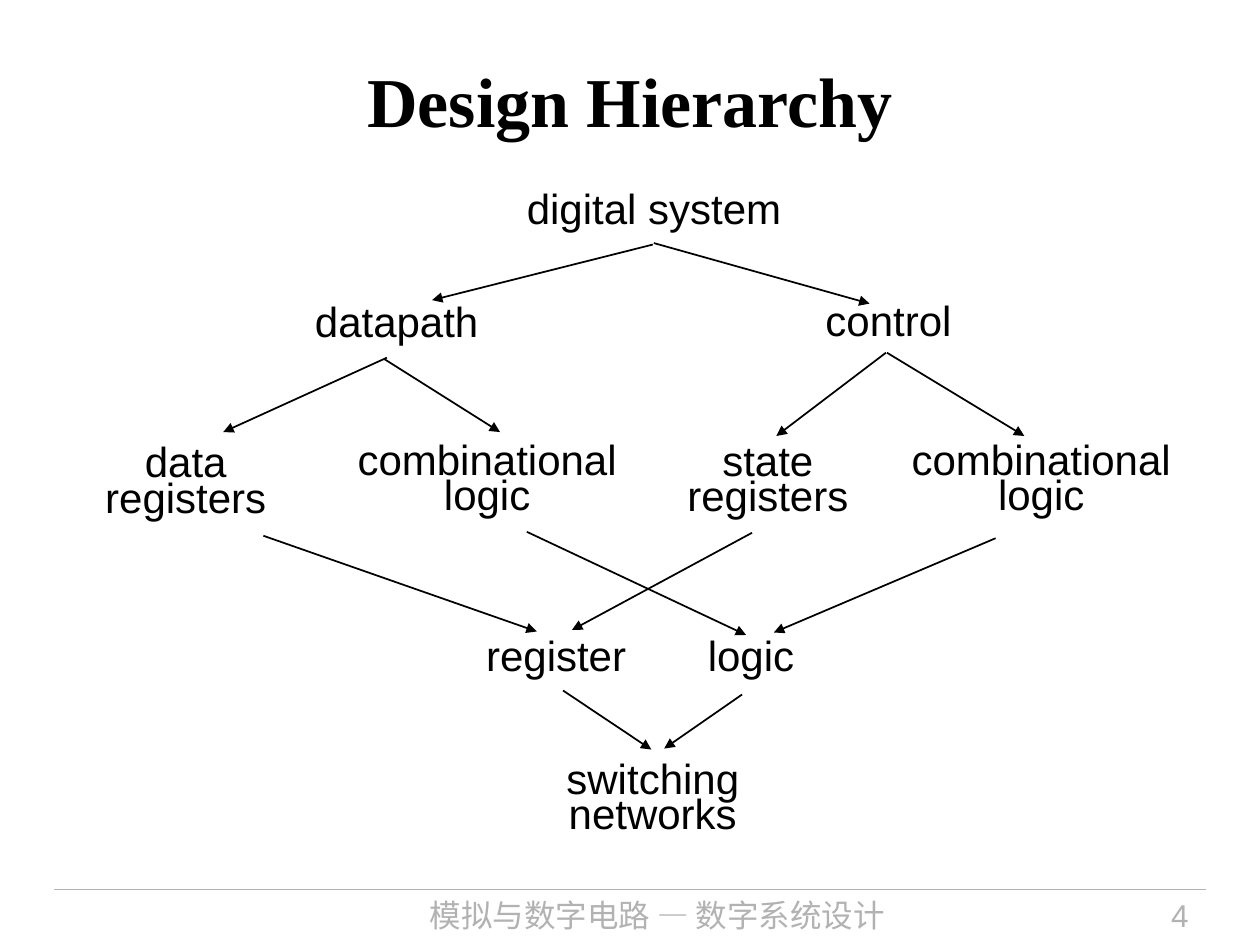
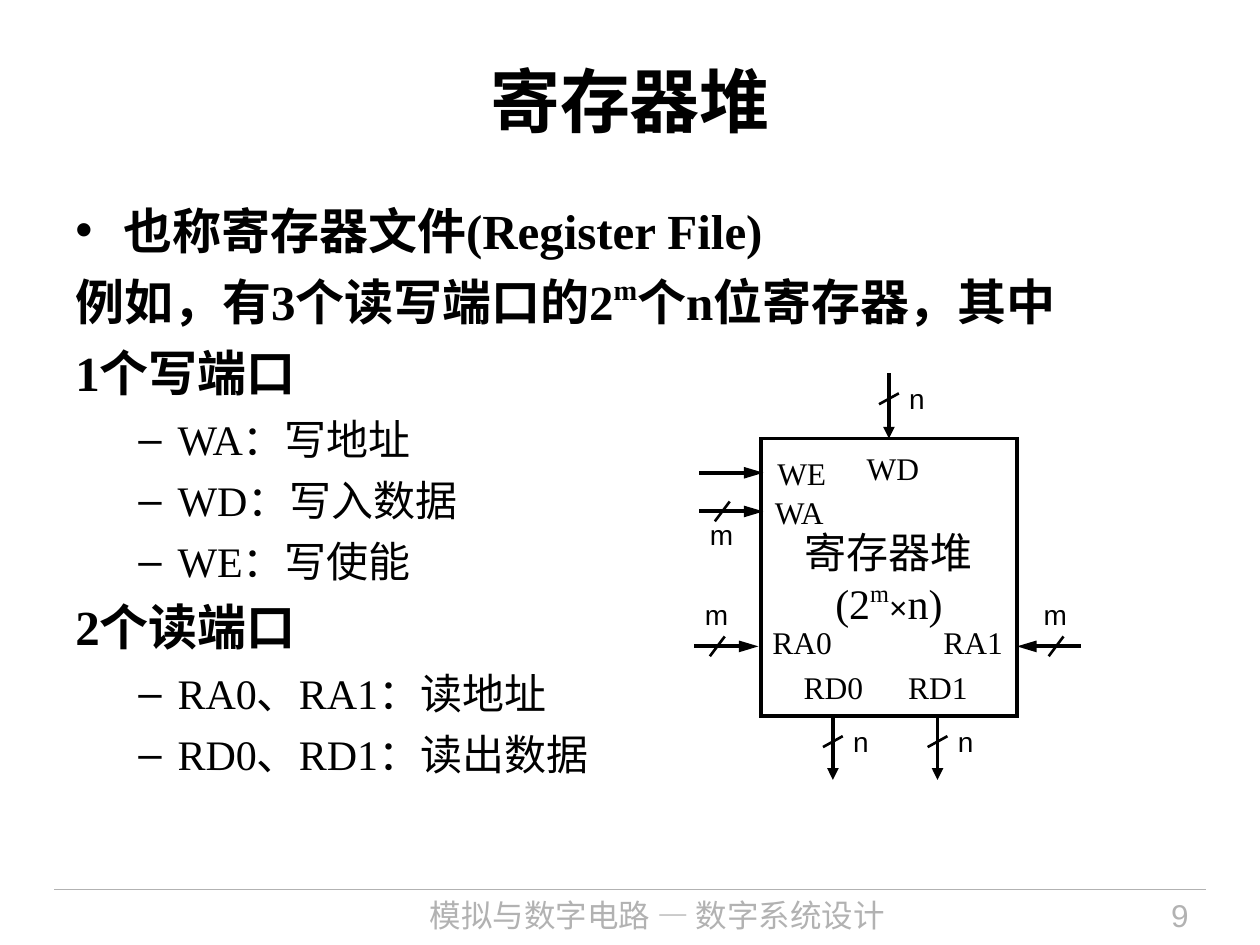
from typing import NamedTuple

from lxml import etree
from pptx import Presentation
from pptx import util as u
from pptx.dml import color
from pptx.enum import shapes, text
from pptx.oxml import ns

COLORS = {"ink": "000000", "muted": "B2B2B2", "paper": "FFFFFF"}
SANS, SERIF, CJK = "Arial", "Times New Roman", "Noto Sans CJK SC"
LEFT, CENTER, RIGHT = text.PP_ALIGN.LEFT, text.PP_ALIGN.CENTER, text.PP_ALIGN.RIGHT
TOP, MIDDLE = text.MSO_ANCHOR.TOP, text.MSO_ANCHOR.MIDDLE
FOOTER = "模拟与数字电路 — 数字系统设计"
TEXT_INSET = (0.25, 0.13)


class Area(NamedTuple):
    left: float
    top: float
    width: float
    height: float


class Arrow(NamedTuple):
    x1: float
    y1: float
    x2: float
    y2: float


class Span(NamedTuple):
    words: str
    raised: bool = False
    size: float | None = None
    font: str | None = None


class Node(NamedTuple):
    words: str
    area: Area
    wrap: bool = False


class Pin(NamedTuple):
    words: str
    area: Area
    align: text.PP_ALIGN = LEFT


class Bus(NamedTuple):
    arrow: Arrow
    bits: str
    label_rise: float = -0.27


class Bullet(NamedTuple):
    spans: tuple[Span, ...]
    level: int = 0
    mark: str = ""


def rgb(name: str) -> color.RGBColor:
    return color.RGBColor.from_string(COLORS[name])


def add_span(para, span: Span, *, size, font, ink="ink", bold=False):
    for index, line in enumerate(span.words.split("\n")):
        if index:
            para.add_line_break()
        run = para.add_run()
        run.text = line
        run.font.size = u.Pt(span.size or size)
        run.font.name = span.font or font
        run.font.bold = bold
        run.font.color.rgb = rgb(ink)
        props = run._r.get_or_add_rPr()
        if span.raised:
            props.set("baseline", "40000")
        east = etree.Element(ns.qn("a:ea"), typeface=CJK)
        props.find(ns.qn("a:latin")).addnext(east)


def set_frame(box, *, inset=TEXT_INSET, anchor=TOP, wrap=True):
    frame = box.text_frame
    frame.word_wrap = wrap
    frame.vertical_anchor = anchor
    frame.margin_left = frame.margin_right = u.Cm(inset[0])
    frame.margin_top = frame.margin_bottom = u.Cm(inset[1])
    return frame


def add_text(page, words: str, area: Area, *, size=18, font=SANS, ink="ink", bold=False,
             align=LEFT, spacing=None, **layout):
    box = page.shapes.add_textbox(*map(u.Cm, area))
    para = set_frame(box, **layout).paragraphs[0]
    para.alignment = align
    para.line_spacing = spacing
    add_span(para, Span(words), size=size, font=font, ink=ink, bold=bold)
    return box


def add_line(page, ends: Arrow, *, width, ink="ink", head="", length="med"):
    line = page.shapes.add_connector(shapes.MSO_CONNECTOR.STRAIGHT, *map(u.Cm, ends))
    line.line.color.rgb = rgb(ink)
    line.line.width = u.Pt(width)
    if head:
        etree.SubElement(line.line._get_or_add_ln(), ns.qn("a:tailEnd"), type=head, w="med", len=length)
    etree.SubElement(line._element.spPr, ns.qn("a:effectLst"))
    return line


def add_page(deck, title: str, number: int):
    page = deck.slides.add_slide(deck.slide_layouts[6])
    page.background.fill.solid()
    page.background.fill.fore_color.rgb = rgb("paper")
    add_line(page, Arrow(1.09, 17.93, 24.31, 17.93), width=0.75, ink="muted")
    add_text(page, title, Area(1.27, 0.58, 22.86, 2.84), size=40, font=SERIF, bold=True,
             align=CENTER, anchor=MIDDLE)
    add_text(page, FOOTER, Area(6.1, 17.93, 14.3, 1.12), font=CJK, ink="muted", align=CENTER)
    add_text(page, str(number), Area(20.83, 17.93, 3.38, 1.12), ink="muted", align=RIGHT)
    return page


ONE_LINE_NODES = [
    Node("digital system", Area(10.57, 4.01, 6.1, 0.76), True),
    Node("datapath", Area(6.3, 6.3, 3.7, 0.86)),
    Node("control", Area(16.59, 6.27, 3.1, 0.86)),
    Node("register", Area(9.75, 13.03, 3.2, 0.76)),
    Node("logic", Area(14.22, 13.03, 2.1, 0.76)),
]
TWO_LINE_NODES = [
    Node("data\nregisters", Area(1.42, 8.71, 4.65, 2.13)),
    Node("combinational\nlogic", Area(6.81, 8.74, 6.02, 1.96)),
    Node("state\nregisters", Area(13.36, 8.76, 4.24, 1.96)),
    Node("combinational\nlogic", Area(17.98, 8.74, 6.02, 1.96)),
    Node("switching\nnetworks", Area(10.52, 15.37, 5.28, 1.57), True),
]
HIERARCHY_ARROWS = [
    Arrow(13.18, 4.9, 17.53, 6.12), Arrow(13.16, 4.93, 8.71, 6.05),
    Arrow(7.75, 7.24, 10.08, 8.71), Arrow(7.8, 7.21, 4.5, 8.71),
    Arrow(17.86, 7.11, 15.65, 8.79), Arrow(17.88, 7.11, 20.65, 8.79),
    Arrow(5.31, 10.8, 10.82, 12.73), Arrow(15.16, 10.74, 11.53, 12.7),
    Arrow(10.62, 10.72, 15.04, 12.8), Arrow(20.07, 10.85, 15.6, 12.75),
    Arrow(14.96, 14, 13.39, 15.09), Arrow(11.35, 13.92, 13.13, 15.11),
]


def build_hierarchy(deck):
    page = add_page(deck, "Design Hierarchy", 4)
    tight = (0.05, 0.08)
    for node in ONE_LINE_NODES:
        add_text(page, node.words, node.area, size=24, spacing=u.Pt(17), inset=tight, wrap=node.wrap)
    for node in TWO_LINE_NODES:
        add_text(page, node.words, node.area, size=24, align=CENTER, spacing=0.7, inset=tight,
                 anchor=TOP if node.wrap else MIDDLE, wrap=node.wrap)
    for arrow in HIERARCHY_ARROWS:
        add_line(page, arrow, width=1, head="triangle")


def port(words: str) -> Bullet:
    return Bullet((Span(words),), 1, "–")


NOTES = [
    Bullet((Span("也称寄存器文件(Register File)"),), 0, "•"),
    Bullet((Span("例如，有3个读写端口的2"), Span("m", True), Span("个n位寄存器，其中"))),
    Bullet((Span("1个写端口"),)),
    port("WA：写地址"),
    port("WD：写入数据"),
    port("WE：写使能"),
    Bullet((Span("2个读端口"),)),
    port("RA0、RA1：读地址"),
    port("RD0、RD1：读出数据"),
]
FILE_LABEL = [
    (Span("寄存器堆"),),
    (Span("(2"), Span("m", True), Span("×", size=18, font=SANS), Span("n)")),
]
PINS = [
    Pin("RD0", Area(15.8, 13.34, 2, 1.02), CENTER),
    Pin("RD1", Area(17.91, 13.34, 2, 1.02), CENTER),
    Pin("WD", Area(17, 8.92, 2, 1.02), CENTER),
    Pin("WA", Area(15.37, 9.8, 2, 1.02)),
    Pin("WE", Area(15.42, 9.02, 2, 1.02)),
    Pin("RA0", Area(15.32, 12.42, 2, 1.02)),
    Pin("RA1", Area(18.47, 12.42, 2, 1.02), RIGHT),
]
FILE_AREA = Area(15.34, 8.84, 5.16, 5.59)
WRITE_DATA = Bus(Arrow(17.92, 7.52, 17.92, 8.84), "n")
OTHER_BUSES = [
    Bus(Arrow(18.9, 14.43, 18.9, 15.72), "n"),
    Bus(Arrow(16.79, 14.43, 16.79, 15.72), "n"),
    Bus(Arrow(21.79, 13.03, 20.5, 13.03), "m", -0.91),
    Bus(Arrow(14, 13.03, 15.29, 13.03), "m", -0.91),
    Bus(Arrow(14.1, 10.31, 15.39, 10.31), "m", 0.2),
]
WRITE_ENABLE = Arrow(14.1, 9.53, 15.39, 9.53)


def add_notes(page):
    box = page.shapes.add_textbox(*map(u.Cm, Area(1.27, 3.91, 22.86, 13.59)))
    frame = set_frame(box)
    for index, note in enumerate(NOTES):
        para = frame.paragraphs[0] if index == 0 else frame.add_paragraph()
        indent, hang, after, size = (2.06, 0.79, 6, 24) if note.level else (0.97, 0.97, 7, 28)
        para.level = note.level
        para.space_after = u.Pt(after)
        props = para._p.get_or_add_pPr()
        props.set("marL", str(u.Cm(indent)))
        props.set("indent", str(-u.Cm(hang)))
        if note.mark:
            etree.SubElement(props, ns.qn("a:buFont"), typeface=SANS)
            etree.SubElement(props, ns.qn("a:buChar"), char=note.mark)
        else:
            etree.SubElement(props, ns.qn("a:buNone"))
        for span in note.spans:
            add_span(para, span, size=size, font=SERIF, bold=note.level == 0)


def add_signal(page, arrow: Arrow):
    length = "lg" if arrow.y1 == arrow.y2 else "med"
    return add_line(page, arrow, width=2.25, head="triangle", length=length)


def add_bus(page, bus: Bus):
    x1, y1, x2, y2 = bus.arrow
    line = add_signal(page, bus.arrow)
    if x1 == x2:
        x, y, half_x, half_y, shift = x1, y1 + 0.52, 0.2, 0.11, 0.41
    else:
        x, y, half_x, half_y, shift = x1 + (0.46 if x2 > x1 else -0.5), y1, 0.15, 0.2, -0.25
    add_line(page, Arrow(x + half_x, y - half_y, x - half_x, y + half_y), width=1.5)
    add_text(page, bus.bits, Area(x + shift, y + bus.label_rise, 0.6, 0.61), size=16,
             spacing=0.9, inset=(0, 0), wrap=False)
    return line


def build_register_file(deck):
    page = add_page(deck, "寄存器堆", 9)
    add_notes(page)
    block = page.shapes.add_shape(shapes.MSO_SHAPE.RECTANGLE, *map(u.Cm, FILE_AREA))
    block.shadow.inherit = False
    block.fill.background()
    block.line.color.rgb = rgb("ink")
    block.line.width = u.Pt(2.25)
    etree.SubElement(block.line._get_or_add_ln(), ns.qn("a:miter"), lim="800000")
    frame = set_frame(block, inset=(0, 0), anchor=MIDDLE, wrap=False)
    frame.add_paragraph()
    for para, spans in zip(frame.paragraphs, FILE_LABEL):
        para.alignment = CENTER
        for span in spans:
            add_span(para, span, size=24, font=SERIF)
    for pin in PINS:
        add_text(page, pin.words, pin.area, font=SERIF, align=pin.align, wrap=False)
    add_bus(page, WRITE_DATA).end_connect(block, 0)
    for bus in OTHER_BUSES:
        add_bus(page, bus)
    add_signal(page, WRITE_ENABLE)


def main():
    deck = Presentation()
    deck.slide_width, deck.slide_height = u.Cm(25.4), u.Cm(19.05)
    build_hierarchy(deck)
    build_register_file(deck)
    deck.save("out.pptx")


if __name__ == "__main__":
    main()
